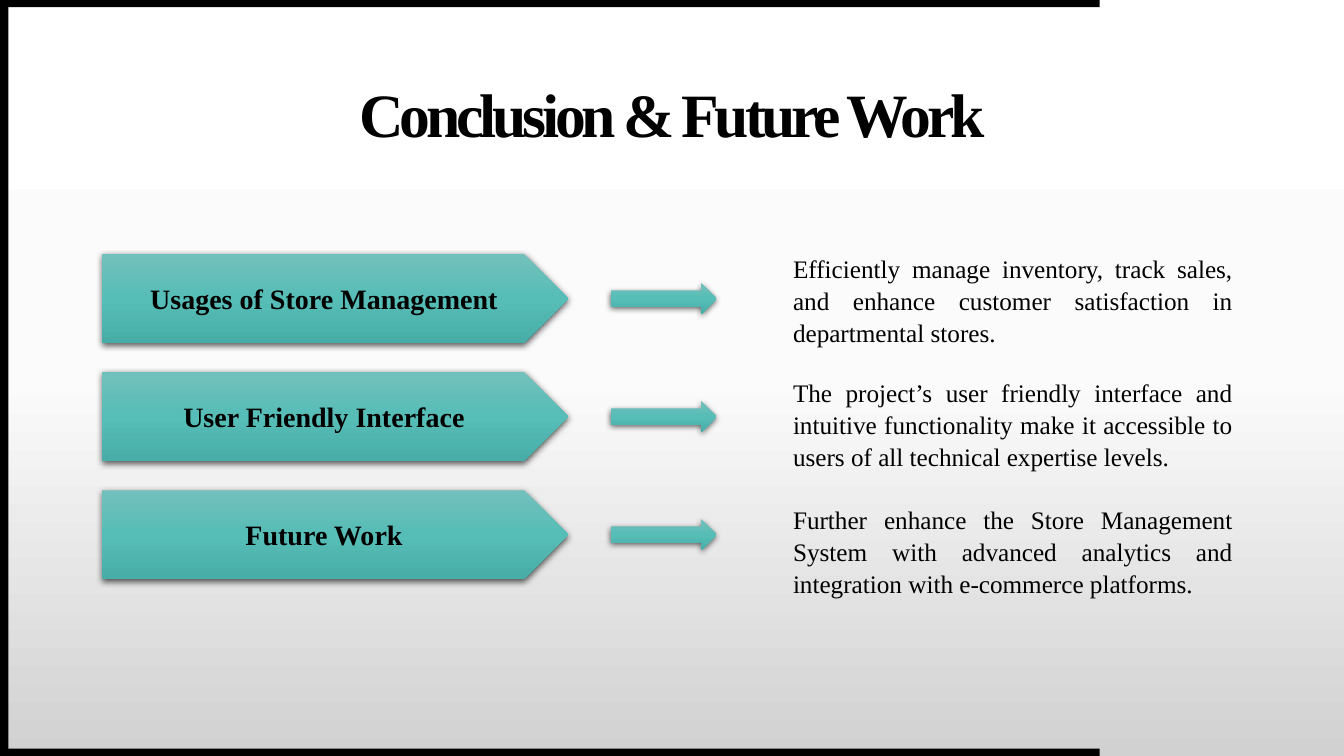
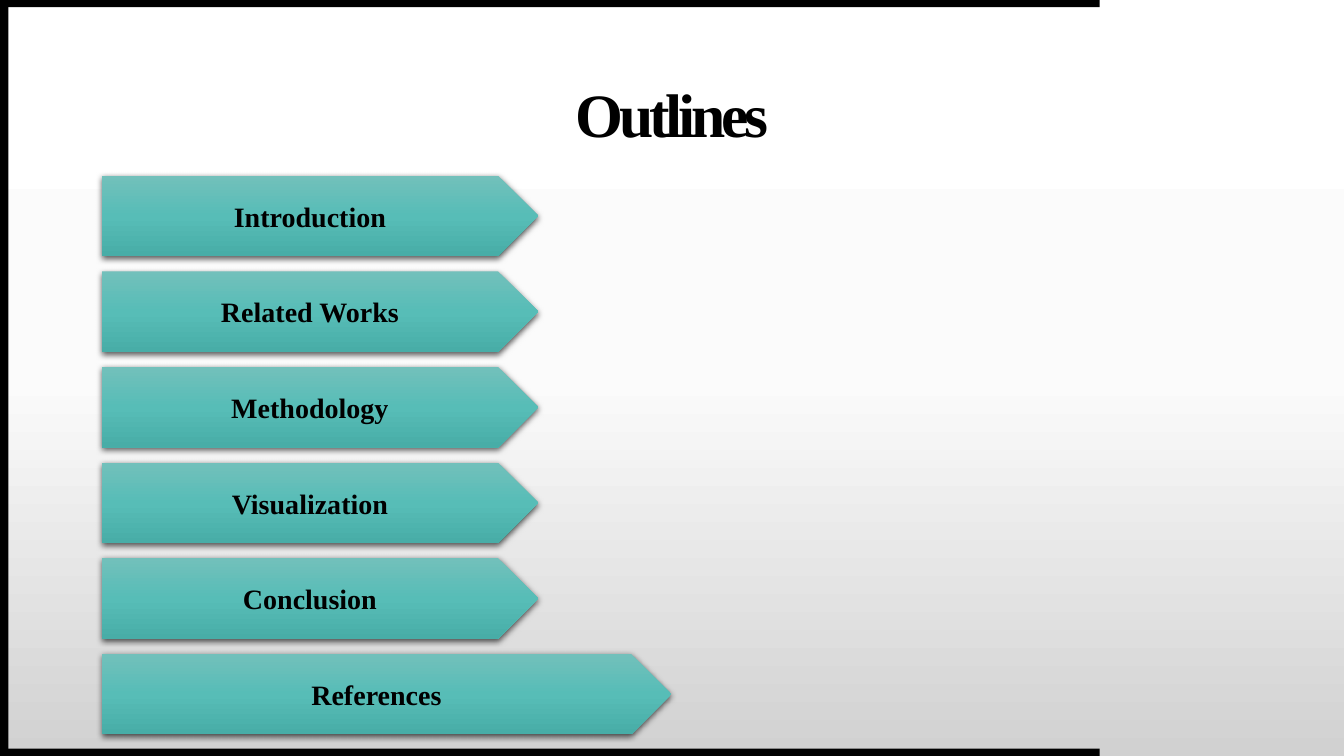
from copy import deepcopy

from lxml import etree
from pptx import Presentation
from pptx.dml.color import RGBColor
from pptx.enum import shapes, text
from pptx.oxml.ns import qn
from pptx.util import Pt

HUES = {
    "ink": "000000",
    "page": ("FFFFFF", "FBFBFB", "D1D1D1"),
    "teal": ("72C0BB", "57BDB7", "48ADA7"),
}
FONT = "Times New Roman"
WIDE, HIGH = 960, 540
LEFT = 72.7
BAR = 5.2
KIND = shapes.MSO_SHAPE
ALIGN = text.PP_ALIGN


def shade(fill, root, tones):
    """Give fill, which lies inside root, three even tones from top to bottom."""
    fill.gradient()
    fill.gradient_angle = 270
    stops = root.find(".//" + qn("a:gsLst"))
    stops.insert(1, deepcopy(stops[0]))
    for stop, place, tone in zip(fill.gradient_stops, (0, 0.5, 1), tones):
        stop.position = place
        stop.color.rgb = RGBColor.from_string(tone)


def put(slide, words, box, kind=None, fill=None, size=20, bold=True,
        align=ALIGN.CENTER, anchor=text.MSO_ANCHOR.MIDDLE,
        inset=None, gap=None, track=None):
    """Add a text box, or a shape of the given kind; a tuple fill is a gradient."""
    area = [Pt(n) for n in box]
    if kind is None:
        item = slide.shapes.add_textbox(*area)
    else:
        item = slide.shapes.add_shape(kind, *area)
        item.line.fill.background()
        item.shadow.inherit = False
        if isinstance(fill, tuple):
            shade(item.fill, item.element, fill)
            glow = item.element.spPr.find(qn("a:effectLst"))
            cast = etree.SubElement(glow, qn("a:outerShdw"), blurRad="57150",
                                    dist="19050", dir="5400000", rotWithShape="0")
            tone = etree.SubElement(cast, qn("a:srgbClr"), val=HUES["ink"])
            etree.SubElement(tone, qn("a:alpha"), val="63000")
        else:
            item.fill.solid()
            item.fill.fore_color.rgb = RGBColor.from_string(fill)
    if not words:
        return
    frame = item.text_frame
    frame.word_wrap = True
    frame.vertical_anchor = anchor
    if inset is not None:
        frame.margin_left = frame.margin_right = Pt(inset)
        frame.margin_top = frame.margin_bottom = Pt(inset)
    para = frame.paragraphs[0]
    para.alignment = align
    para.line_spacing = gap
    run = para.add_run()
    run.text = words
    run.font.name = FONT
    run.font.size = Pt(size)
    run.font.bold = bold
    run.font.color.rgb = RGBColor.from_string(HUES["ink"])
    if track is not None:
        run.font._element.set("spc", str(track * 100))


deck = Presentation()
deck.slide_width, deck.slide_height = Pt(WIDE), Pt(HIGH)

# Shared page: background, black frame and title
pages = []
for title in ("Conclusion & Future Work", "Outlines"):
    page = deck.slides.add_slide(deck.slide_layouts[6])
    shade(page.background.fill, page.element, HUES["page"])
    for edge in ((0, HIGH - BAR, 785.5, BAR), (0, 0, 785.5, BAR), (0, 0, 6, HIGH)):
        put(page, "", edge, KIND.RECTANGLE, HUES["ink"])
    put(page, title, (LEFT, 34.6, 815, 91.4), size=44, inset=0, track=-3)
    pages.append(page)
close, plan = pages

# Conclusion: label, arrow and note in each row
rows = (
    ("Usages of Store Management", 176.4,
     "Efficiently manage inventory, track sales, and enhance customer "
     "satisfaction in departmental stores."),
    ("User Friendly Interface", 265,
     "The project’s user friendly interface and intuitive functionality make it "
     "accessible to users of all technical expertise levels."),
    ("Future Work", 355.7,
     "Further enhance the Store Management System with advanced analytics and "
     "integration with e-commerce platforms."),
)
tall, thin = 63.4, 22.3
for i, (label, top, note) in enumerate(rows):
    y = 181.6 + i * 84.3
    put(close, label, (LEFT, y, 333.4, tall), KIND.PENTAGON, HUES["teal"])
    put(close, "", (436.3, y + (tall - thin) / 2, 75.6, thin),
        KIND.RIGHT_ARROW, HUES["teal"])
    put(close, note, (559.4, top, 328.3, 72.7), size=18, bold=False,
        align=ALIGN.JUSTIFY, anchor=text.MSO_ANCHOR.TOP, gap=1.05)

# Outlines: evenly stacked labels, the last one longer
parts = ("Introduction", "Related Works", "Methodology",
         "Visualization", "Conclusion", "References")
for i, label in enumerate(parts):
    long = 406.8 if label == parts[-1] else 311.8
    put(plan, label, (LEFT, 125.5 + i * 68.3, long, 57.6),
        KIND.PENTAGON, HUES["teal"])

deck.save("out.pptx")
